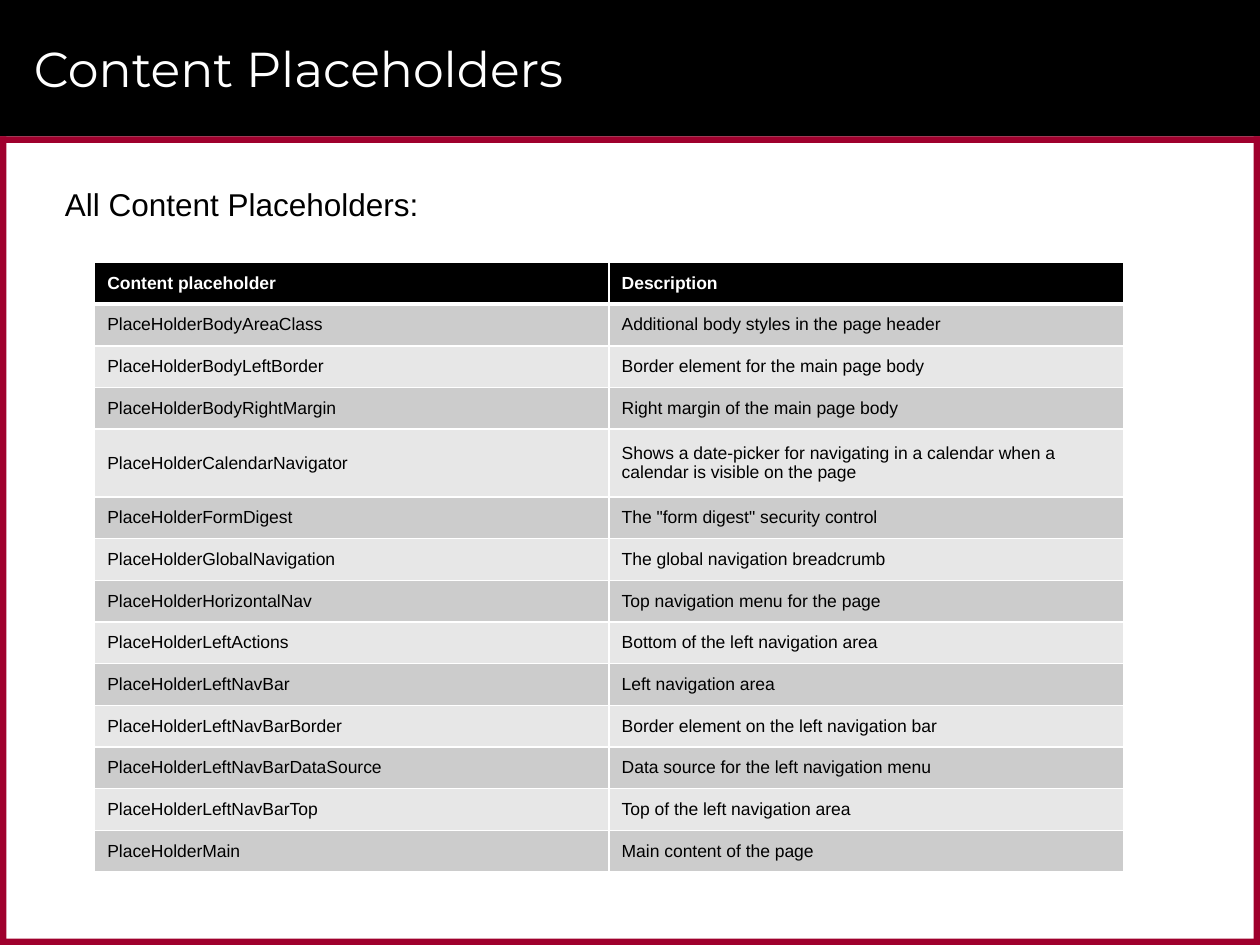
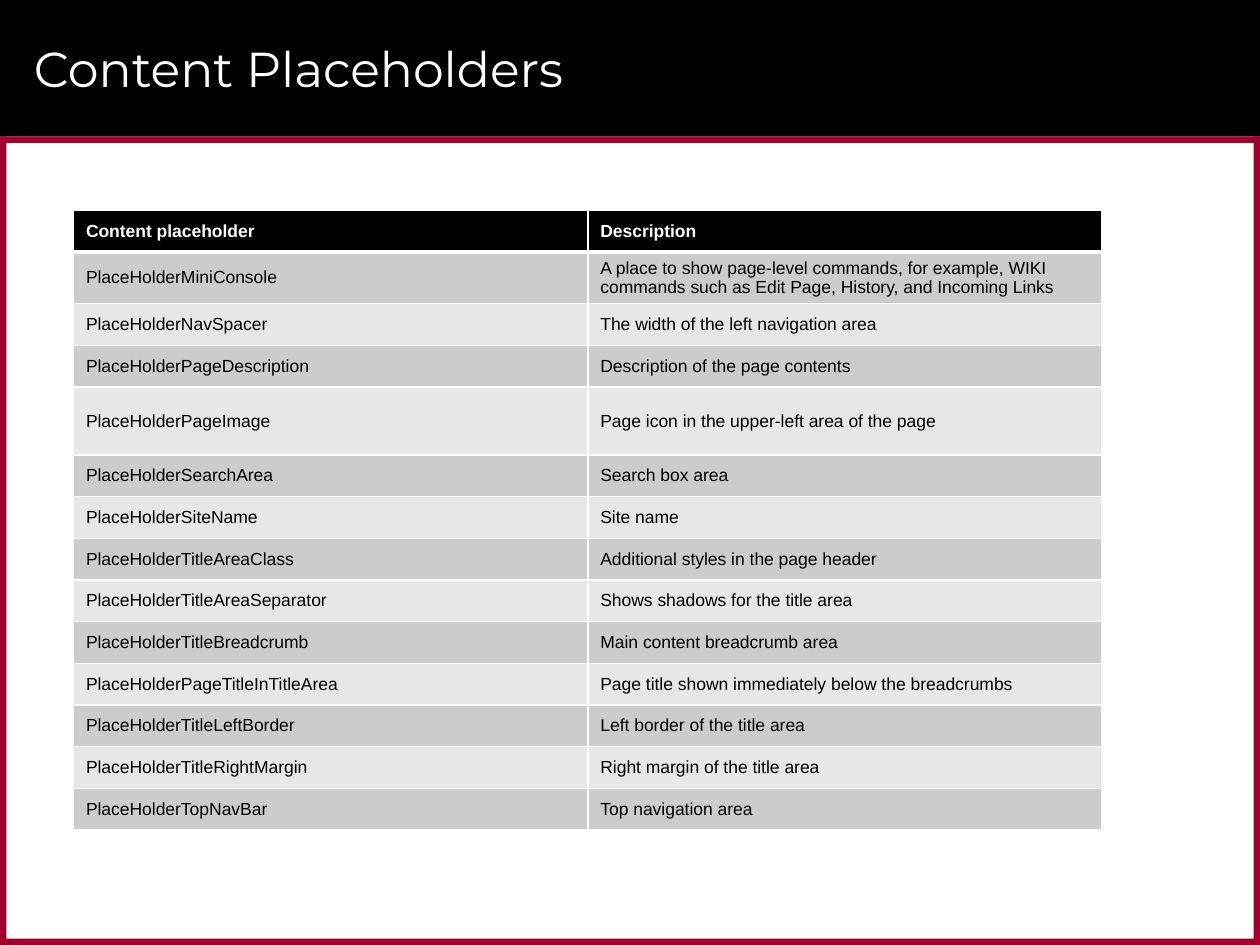
from dataclasses import dataclass

from lxml.etree import SubElement
from pptx import Presentation
from pptx.dml.color import RGBColor
from pptx.enum.shapes import MSO_SHAPE
from pptx.enum.text import MSO_ANCHOR, MSO_AUTO_SIZE, PP_ALIGN
from pptx.oxml.ns import qn
from pptx.util import Cm, Pt


@dataclass(frozen=True)
class Theme:
    black: RGBColor = RGBColor(0x00, 0x00, 0x00)
    white: RGBColor = RGBColor(0xFF, 0xFF, 0xFF)
    crimson: RGBColor = RGBColor(0x9F, 0x00, 0x2D)
    odd_row: RGBColor = RGBColor(0xCC, 0xCC, 0xCC)
    even_row: RGBColor = RGBColor(0xE7, 0xE7, 0xE7)
    title_font: str = "Montserrat"
    body_font: str = "Arial"
    title_size: int = 28
    intro_size: int = 18
    table_size: int = 10
    thin_rule: int = 1
    header_rule: int = 3


@dataclass(frozen=True)
class Box:
    """A rectangle in centimetres."""
    left: float
    top: float
    width: float
    height: float

    def lengths(self):
        return Cm(self.left), Cm(self.top), Cm(self.width), Cm(self.height)


THEME = Theme()
PAGE = Box(0, 0, 25.4, 19.05)
HEADER = Box(0, 0, PAGE.width, 2.75)
CONTENT = Box(0, HEADER.height, PAGE.width, PAGE.height - HEADER.height)
STRIPE = 0.13
COLUMN_WIDTH = 10.37
ROW_HEIGHT, TALL_ROW_HEIGHT = 0.84, 1.37
TALL_ROW = 4

TITLE = "Content Placeholders"
COLUMN_NAMES = ("Content placeholder", "Description")
BODY_TO_MAIN = [
    ("PlaceHolderBodyAreaClass", "Additional body styles in the page header"),
    ("PlaceHolderBodyLeftBorder", "Border element for the main page body"),
    ("PlaceHolderBodyRightMargin", "Right margin of the main page body"),
    ("PlaceHolderCalendarNavigator",
     "Shows a date-picker for navigating in a calendar when a calendar is visible on the page"),
    ("PlaceHolderFormDigest", 'The "form digest" security control'),
    ("PlaceHolderGlobalNavigation", "The global navigation breadcrumb"),
    ("PlaceHolderHorizontalNav", "Top navigation menu for the page"),
    ("PlaceHolderLeftActions", "Bottom of the left navigation area"),
    ("PlaceHolderLeftNavBar", "Left navigation area"),
    ("PlaceHolderLeftNavBarBorder", "Border element on the left navigation bar"),
    ("PlaceHolderLeftNavBarDataSource", "Data source for the left navigation menu"),
    ("PlaceHolderLeftNavBarTop", "Top of the left navigation area"),
    ("PlaceHolderMain", "Main content of the page"),
]
CONSOLE_TO_TOP = [
    ("PlaceHolderMiniConsole",
     "A place to show page-level commands, for example, WIKI commands such as Edit Page, "
     "History, and Incoming Links"),
    ("PlaceHolderNavSpacer", "The width of the left navigation area"),
    ("PlaceHolderPageDescription", "Description of the page contents"),
    ("PlaceHolderPageImage", "Page icon in the upper-left area of the page"),
    ("PlaceHolderSearchArea", "Search box area"),
    ("PlaceHolderSiteName", "Site name"),
    ("PlaceHolderTitleAreaClass", "Additional styles in the page header"),
    ("PlaceHolderTitleAreaSeparator", "Shows shadows for the title area"),
    ("PlaceHolderTitleBreadcrumb", "Main content breadcrumb area"),
    ("PlaceHolderPageTitleInTitleArea", "Page title shown immediately below the breadcrumbs"),
    ("PlaceHolderTitleLeftBorder", "Left border of the title area"),
    ("PlaceHolderTitleRightMargin", "Right margin of the title area"),
    ("PlaceHolderTopNavBar", "Top navigation area"),
]


def write(frame, text, font, size, color, bold=False):
    para = frame.paragraphs[0]
    para.alignment = PP_ALIGN.LEFT
    span = para.add_run()
    span.text = text
    span.font.name = font
    span.font.size = Pt(size)
    span.font.color.rgb = color
    span.font.bold = bold


def add_band(page, box, color):
    band = page.shapes.add_shape(MSO_SHAPE.RECTANGLE, *box.lengths())
    band.shadow.inherit = False
    band.fill.solid()
    band.fill.fore_color.rgb = color
    band.line.fill.background()
    return band


def add_frame(page, layout, header, content):
    """Draw the header band and the content border, then move them to the layout."""
    right = content.left + content.width - STRIPE
    bottom = content.top + content.height - STRIPE
    stripes = [
        Box(content.left, content.top, content.width, STRIPE),
        Box(content.left, bottom, content.width, STRIPE),
        Box(content.left, content.top, STRIPE, content.height),
        Box(right, content.top, STRIPE, content.height),
    ]
    bands = [add_band(page, header, THEME.black)]
    bands += [add_band(page, stripe, THEME.crimson) for stripe in stripes]
    for position, band in enumerate(bands, start=2):
        layout.shapes.element.insert(position, band.element)


def add_title(page, header, text):
    title = page.shapes.title
    box = Box(header.left + 0.43, header.top + 0.2, header.width - 1.47, header.height - 0.41)
    title.left, title.top, title.width, title.height = box.lengths()
    title.text_frame.vertical_anchor = MSO_ANCHOR.MIDDLE
    write(title.text_frame, text, THEME.title_font, THEME.title_size, THEME.white)


def add_intro(page, content, text):
    box = Box(content.left + 1.06, content.top + 0.86, 7.7, 1.02)
    frame = page.shapes.add_textbox(*box.lengths()).text_frame
    frame.word_wrap = False
    frame.auto_size = MSO_AUTO_SIZE.SHAPE_TO_FIT_TEXT
    write(frame, text, THEME.body_font, THEME.intro_size, THEME.black)


def set_borders(cell, top, bottom):
    """Draw white rules round a cell, with top and bottom widths in points."""
    widths = {"lnL": THEME.thin_rule, "lnR": THEME.thin_rule, "lnT": top, "lnB": bottom}
    properties = cell._tc.get_or_add_tcPr()
    for side, width in widths.items():
        rule = SubElement(properties, qn(f"a:{side}"), w=str(Pt(width)))
        fill = SubElement(rule, qn("a:solidFill"))
        SubElement(fill, qn("a:srgbClr"), val=str(THEME.white))


def format_cell(cell, text, row):
    is_header = row == 0
    set_borders(cell,
                top=THEME.header_rule if row == 1 else THEME.thin_rule,
                bottom=THEME.header_rule if is_header else THEME.thin_rule)
    cell.fill.solid()
    row_color = THEME.odd_row if row % 2 else THEME.even_row
    cell.fill.fore_color.rgb = THEME.black if is_header else row_color
    cell.vertical_anchor = MSO_ANCHOR.MIDDLE
    write(cell.text_frame, text, THEME.body_font, THEME.table_size,
          THEME.white if is_header else THEME.black, bold=is_header)


def add_placeholder_table(page, content, left, top, entries):
    """Place the table at an offset from the content box."""
    rows = [COLUMN_NAMES, *entries]
    height = ROW_HEIGHT * (len(rows) - 1) + TALL_ROW_HEIGHT
    box = Box(content.left + left, content.top + top, COLUMN_WIDTH * len(COLUMN_NAMES), height)
    table = page.shapes.add_table(len(rows), len(COLUMN_NAMES), *box.lengths()).table
    for column in table.columns:
        column.width = Cm(COLUMN_WIDTH)
    for row, texts in enumerate(rows):
        table.rows[row].height = Cm(TALL_ROW_HEIGHT if row == TALL_ROW else ROW_HEIGHT)
        for column, text in enumerate(texts):
            format_cell(table.cell(row, column), text, row)


def add_table_page(deck, layout, entries, left, top, intro=None):
    page = deck.slides.add_slide(layout)
    add_title(page, HEADER, TITLE)
    add_placeholder_table(page, CONTENT, left, top, entries)
    if intro:
        add_intro(page, CONTENT, intro)
    return page


def main():
    deck = Presentation()
    deck.slide_width, deck.slide_height = Cm(PAGE.width), Cm(PAGE.height)
    layout = deck.slide_layouts.get_by_name("Title Only")
    first_page = add_table_page(deck, layout, BODY_TO_MAIN, left=1.91, top=2.54,
                                intro="All Content Placeholders:")
    add_frame(first_page, layout, HEADER, CONTENT)
    add_table_page(deck, layout, CONSOLE_TO_TOP, left=1.48, top=1.49)
    deck.save("out.pptx")


if __name__ == "__main__":
    main()
